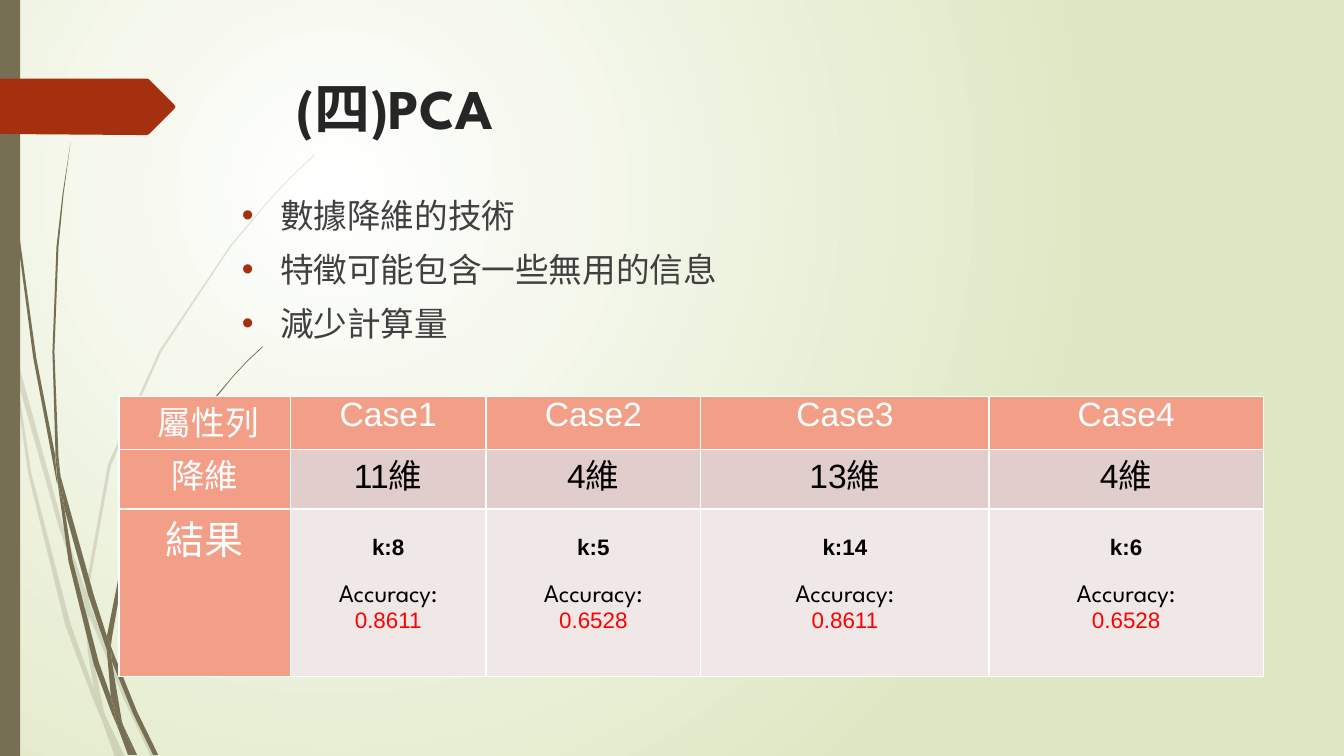
"""Build the PCA slide with its grass blades, bullets and results table."""
import dataclasses
import pptx
import pptx.dml.color
import pptx.enum.shapes
import pptx.enum.text
import pptx.oxml
import pptx.oxml.ns
import pptx.util

Inches = pptx.util.Inches
Pt = pptx.util.Pt
NAMESPACE = pptx.oxml.ns.nsdecls("a")
CENTER = pptx.enum.text.PP_ALIGN.CENTER


@dataclasses.dataclass(frozen=True)
class Theme:
    """Colours, fonts and type sizes of the slide."""
    glow: str = "FFFFFF"
    meadow: str = "DFE8C4"
    grass: str = "766F54"
    accent: str = "A53010"
    heading: str = "262626"
    body: str = "404040"
    white: str = "FFFFFF"
    black: str = "000000"
    score: str = "FF0000"
    header_fill: str = "F39E87"
    band_fill: str = "E1CDCC"
    result_fill: str = "F0E8E7"
    display: str = "League Spartan"
    plain: str = "Arial"
    title_size: int = 40
    result_size: int = 28
    text_size: int = 24
    label_size: int = 18
    value_size: int = 16


FAINT_BLADES = [
    [(0.11, 3.5), (0.09, 3.22), (0, 2.82), (0, 2.99), (0.1, 3.44)],
    [(0.58, 5.22), (0.84, 5.99), (0.85, 5.86), (0.62, 5.2), (0.14, 3.45), (0.17, 3.76)],
    [(0.92, 6.07), (0.88, 5.96), (0.88, 6.1), (1.23, 6.94), (1.5, 7.51), (1.55, 7.51),
     (1.27, 6.92)],
    [(1.19, 7.51), (1.24, 7.51), (1.05, 7.11)],
    [(0.93, 6.83), (0.7, 6.19), (0.31, 4.69), (0.17, 3.76), (0.11, 3.5), (0.28, 4.7),
     (0.65, 6.21), (0.92, 6.93), (1.01, 7.14), (0.99, 7.07)],
    [(0.84, 5.99), (0.87, 6.46), (0.93, 6.83), (0.96, 6.92), (1.05, 7.11), (1.03, 7.06),
     (0.91, 6.46), (0.88, 6.1), (0.88, 6.08)],
    [(0.88, 5.84), (1.1, 4.62), (1.6, 3.49), (2.29, 2.45), (2.68, 1.98), (2.9, 1.75),
     (3.12, 1.54), (3.12, 1.53), (2.89, 1.75), (2.68, 1.97), (2.28, 2.44), (1.58, 3.48),
     (1.07, 4.61), (0.85, 5.84), (0.85, 5.86), (0.88, 5.96)],
    [(1.01, 7.14), (1.14, 7.51), (1.19, 7.51)],
    [(0.88, 6.08), (0.88, 6.1), (0.88, 5.96), (0.85, 5.86), (0.84, 5.99)],
    [(0.96, 6.92), (0.93, 6.83), (0.99, 7.07), (1.01, 7.14), (1.19, 7.51), (1.05, 7.11)],
]
DARK_BLADES = [
    [(0.07, 1.1), (0.17, 2.33), (0.33, 3.55), (0.56, 4.77), (0.57, 4.81), (0.55, 4.57),
     (0.55, 4.53), (0.36, 3.55), (0.19, 2.32), (0.08, 1.09), (0.05, 0.48), (0.04, 0),
     (0.03, 0), (0.04, 0.48)],
    [(0.88, 5.92), (1.06, 6.45), (1.06, 6.33), (1.06, 6.31), (0.93, 5.9), (0.6, 4.72),
     (0.64, 5.05)],
    [(1.13, 6.49), (1.1, 6.41), (1.11, 6.56), (1.32, 7.08), (1.52, 7.49), (1.57, 7.49),
     (1.36, 7.06)],
    [(1.1, 6.91), (0.98, 6.57), (0.72, 5.56), (0.64, 5.05), (0.57, 4.77), (0.68, 5.57),
     (0.93, 6.59), (1.11, 7.08), (1.17, 7.22), (1.16, 7.17)],
    [(0.6, 4.72), (0.58, 4.53), (0.54, 3.49), (0.58, 2.45), (0.63, 1.93), (0.7, 1.41),
     (0.62, 1.93), (0.56, 2.45), (0.52, 3.49), (0.55, 4.49)],
    [(1.33, 7.49), (1.36, 7.49), (1.22, 7.19)],
    [(0.57, 4.77), (0.64, 5.05), (0.6, 4.72), (0.55, 4.49), (0.55, 4.53)],
    [(1.11, 6.33), (1.25, 5.52), (1.58, 4.76), (2.05, 4.06), (2.31, 3.74), (2.45, 3.59),
     (2.61, 3.44), (2.6, 3.44), (2.45, 3.58), (2.31, 3.73), (2.04, 4.05), (1.56, 4.74),
     (1.22, 5.51), (1.06, 6.31), (1.1, 6.41)],
    [(1.17, 7.22), (1.27, 7.49), (1.31, 7.49)],
    [(1.06, 6.45), (1.1, 6.91), (1.16, 7.06), (1.22, 7.19), (1.21, 7.16), (1.11, 6.56),
     (1.09, 6.51)],
    [(1.06, 6.45), (1.09, 6.51), (1.11, 6.56), (1.1, 6.41), (1.06, 6.31), (1.06, 6.33)],
    [(1.16, 7.06), (1.1, 6.91), (1.16, 7.17), (1.17, 7.22), (1.3, 7.49), (1.33, 7.49),
     (1.22, 7.19)],
]
ARROW_TAG = [(1.73, 1.08), (1.48, 1.33), (1.46, 1.34), (1.36, 1.34), (0, 1.33), (0, 0.78),
             (1.46, 0.78), (1.48, 0.79), (1.73, 1.04), (1.74, 1.06)]
TECHNIQUES = ["數據降維的技術", "特徵可能包含一些無用的信息", "減少計算量"]
CASES = [("Case1", "11維", "k:8", "0.8611"), ("Case2", "4維", "k:5", "0.6528"),
         ("Case3", "13維", "k:14", "0.8611"), ("Case4", "4維", "k:6", "0.6528")]
COLUMN_WIDTHS = [1.7, 1.94, 2.13, 2.86, 2.72]
ROW_HEIGHTS = [0.53, 0.59, 1.66]


class SlideBuilder:
    """Draws styled elements on the current slide."""

    def __init__(self, slide, theme):
        self.slide = slide
        self.theme = theme

    def background(self):
        """Fill the background with a radial glow."""
        fill = self.slide.background.fill
        fill.gradient()
        for stop, color in zip(fill.gradient_stops, (self.theme.glow, self.theme.meadow)):
            stop.color.rgb = pptx.dml.color.RGBColor.from_string(color)
        gradient = self.slide.element.find(".//" + pptx.oxml.ns.qn("a:gradFill"))
        gradient.replace(gradient.find(pptx.oxml.ns.qn("a:lin")), pptx.oxml.parse_xml(
            f'<a:path {NAMESPACE} path="circle">'
            '<a:fillToRect l="50000" t="50000" r="100000" b="100000"/></a:path>'))

    def paint(self, shape, color, opacity=100):
        """Give a shape a flat fill without line or shadow."""
        shape.shadow.inherit = False
        shape.fill.solid()
        shape.fill.fore_color.rgb = pptx.dml.color.RGBColor.from_string(color)
        shape.line.fill.background()
        if opacity < 100:
            tint = shape.element.spPr.find(".//" + pptx.oxml.ns.qn("a:srgbClr"))
            tint.append(pptx.oxml.parse_xml(f'<a:alpha {NAMESPACE} val="{opacity * 1000}"/>'))

    def outline(self, points, color, opacity=100):
        """Draw a closed outline through points in inches."""
        start, *others = [(Inches(x), Inches(y)) for x, y in points]
        builder = self.slide.shapes.build_freeform(*start)
        builder.add_line_segments(others)
        self.paint(builder.convert_to_shape(), color, opacity)

    def bar(self, left, top, width, height, color):
        """Draw a plain rectangle."""
        box = map(Inches, (left, top, width, height))
        kind = pptx.enum.shapes.MSO_SHAPE.RECTANGLE
        self.paint(self.slide.shapes.add_shape(kind, *box), color)

    def style(self, paragraph, size, color, family, bold=False):
        """Set the font of a whole paragraph."""
        font = paragraph.font
        font.size, font.name, font.bold = Pt(size), family, bold
        font.color.rgb = pptx.dml.color.RGBColor.from_string(color)

    def text(self, left, top, width, height, lines, size, color, bold=False, bullet=None):
        """Write lines in a text box, bulleted when a bullet colour is given."""
        box = map(Inches, (left, top, width, height))
        frame = self.slide.shapes.add_textbox(*box).text_frame
        frame.word_wrap = True
        frame.text = "\n".join(lines)
        for paragraph in frame.paragraphs:
            self.style(paragraph, size, color, self.theme.display, bold)
            if bullet:
                paragraph.space_before = Pt(10)
                properties = paragraph._p.get_or_add_pPr()
                properties.set("marL", str(Inches(0.38)))
                properties.set("indent", str(Inches(-0.38)))
                marks = (f'<a:buClr {NAMESPACE}><a:srgbClr val="{bullet}"/></a:buClr>',
                         f'<a:buFont {NAMESPACE} typeface="Arial"/>',
                         f'<a:buChar {NAMESPACE} char="•"/>')
                for mark in marks:
                    properties.find(pptx.oxml.ns.qn("a:defRPr")).addprevious(
                        pptx.oxml.parse_xml(mark))

    def table(self, left, top, widths, heights):
        """Add an unstyled table with the given column widths and row heights."""
        box = map(Inches, (left, top, sum(widths), sum(heights)))
        table = self.slide.shapes.add_table(len(heights), len(widths), *box).table
        table.first_row = table.horz_banding = False
        for column, width in zip(table.columns, widths):
            column.width = Inches(width)
        for row, height in zip(table.rows, heights):
            row.height = Inches(height)
        return table

    def cell(self, cell, fill, lines, top=0):
        """Fill a bordered cell with centred lines of (text, style)."""
        cell.fill.solid()
        cell.fill.fore_color.rgb = pptx.dml.color.RGBColor.from_string(fill)
        cell.margin_left = cell.margin_right = Inches(0.07)
        cell.margin_top, cell.margin_bottom = Inches(top), 0
        for index, side in enumerate("LRTB"):
            cell._tc.get_or_add_tcPr().insert(index, pptx.oxml.parse_xml(
                f'<a:ln{side} {NAMESPACE} w="12700"><a:solidFill>'
                f'<a:srgbClr val="{self.theme.white}"/></a:solidFill></a:ln{side}>'))
        cell.text = "\n".join(line for line, _ in lines)
        for paragraph, (_, font) in zip(cell.text_frame.paragraphs, lines):
            paragraph.alignment = CENTER
            self.style(paragraph, *font)


def main():
    """Build and save the slide."""
    deck = pptx.Presentation()
    deck.slide_width, deck.slide_height = Inches(13.33), Inches(7.5)
    theme = Theme()
    page = SlideBuilder(deck.slides.add_slide(deck.slide_layouts[6]), theme)
    page.background()
    for blades, opacity in ((FAINT_BLADES, 20), (DARK_BLADES, 100)):
        for blade in blades:
            page.outline(blade, theme.grass, opacity)
    page.bar(0, 0, 0.2, 7.5, theme.grass)
    page.outline(ARROW_TAG, theme.accent)
    page.text(2.84, 0.68, 9.75, 1.4, ["(四)PCA"], theme.title_size, theme.heading, bold=True)
    page.text(2.3, 1.88, 9.75, 1.74, TECHNIQUES, theme.text_size, theme.body,
              bullet=theme.accent)

    results = page.table(1.18, 3.93, COLUMN_WIDTHS, ROW_HEIGHTS)
    header = (theme.text_size, theme.white, theme.plain)
    dimension = (theme.text_size, theme.black, theme.plain)
    row_titles = [(" 屬性列", header), ("降維", header),
                  ("結果", (theme.result_size, theme.white, theme.plain))]
    for row, title in enumerate(row_titles):
        page.cell(results.cell(row, 0), theme.header_fill, [title])
    for column, (case, dimensions, neighbours, accuracy) in enumerate(CASES, 1):
        page.cell(results.cell(0, column), theme.header_fill, [(case, header)])
        page.cell(results.cell(1, column), theme.band_fill, [(dimensions, dimension)])
        outcome = results.cell(2, column)
        page.cell(outcome, theme.result_fill, [
            (neighbours, (theme.value_size, theme.black, theme.plain, True)),
            ("Accuracy:", (theme.label_size, theme.black, theme.display)),
            (accuracy, (theme.value_size, theme.score, theme.plain))], top=0.26)
        outcome.text_frame.paragraphs[1].space_before = Pt(18)
    deck.save("out.pptx")


if __name__ == "__main__":
    main()
